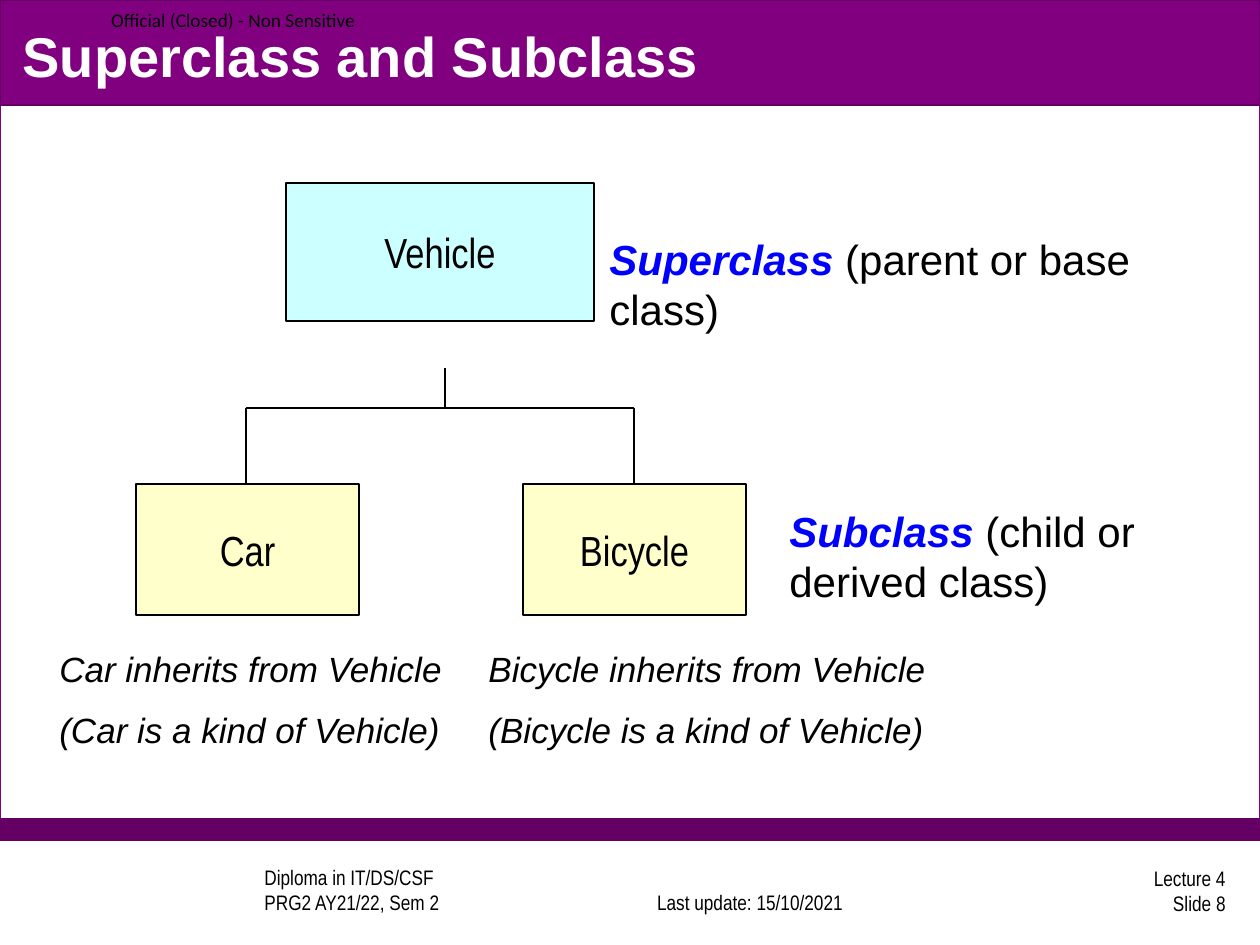
"""Build the Superclass and Subclass slide."""
from lxml import etree
from pptx import Presentation
from pptx import util as u
from pptx.dml.color import RGBColor
from pptx.enum import shapes, text
from pptx.oxml import ns

SCALE = 914400 / 126
BLACK, WHITE, BLUE = "000000", "FFFFFF", "0000FF"
PURPLE, DARK = "800080", "640064"
ALIGN, ANCHOR = text.PP_ALIGN, text.MSO_ANCHOR


def px(*lengths):
    """Turn pixel lengths into EMU."""
    return [u.Emu(round(length * SCALE)) for length in lengths]


def color(code):
    """Return the colour for a hex string."""
    return RGBColor.from_string(code)


def add_span(para, words, size, face, ink=BLACK, bold=False, italic=False):
    """Add one formatted run to a paragraph."""
    span = para.add_run()
    span.text = words
    span.font.size, span.font.name = u.Pt(size), face
    span.font.bold, span.font.italic = bold, italic
    span.font.color.rgb = color(ink)


def add_rect(page, at, fill, line, width=0.75):
    """Add a filled and outlined rectangle."""
    box = page.shapes.add_shape(shapes.MSO_SHAPE.RECTANGLE, *px(*at))
    box.shadow.inherit = False
    box.fill.solid()
    box.fill.fore_color.rgb = color(fill)
    box.line.color.rgb = color(line)
    box.line.width = u.Pt(width)
    return box


def add_class(page, name, at, fill, width):
    """Add a class box with its name in the middle."""
    frame = add_rect(page, at, fill, BLACK, width).text_frame
    frame.vertical_anchor = ANCHOR.MIDDLE
    para = frame.paragraphs[0]
    para.alignment = ALIGN.CENTER
    add_span(para, name, 24, "Arial Narrow")


def add_line(page, start, end, width=0.75):
    """Add a straight black line."""
    line = page.shapes.add_connector(
        shapes.MSO_CONNECTOR.STRAIGHT, *px(*start, *end))
    line.line.color.rgb = color(BLACK)
    line.line.width = u.Pt(width)
    etree.SubElement(line._element.spPr, ns.qn("a:effectLst"))


def add_frame(page, at, anchor=ANCHOR.TOP, wrap=True):
    """Add a text box and return its frame."""
    frame = page.shapes.add_textbox(*px(*at)).text_frame
    frame.word_wrap = wrap
    frame.vertical_anchor = anchor
    return frame


def add_footer(page, lines, at, align, anchor):
    """Add a footer whose lines share one paragraph."""
    para = add_frame(page, at, anchor).paragraphs[0]
    para.alignment = align
    for index, words in enumerate(lines):
        if index:
            para.add_line_break()
        add_span(para, words, 12, "Arial Narrow")


def add_term(page, term, meaning, at, wrap):
    """Add a highlighted term followed by its meaning."""
    para = add_frame(page, at, wrap=wrap).paragraphs[0]
    add_span(para, term + " ", 24, "Arial", BLUE, True, True)
    add_span(para, meaning, 24, "Arial")


def add_relation(page, child, at):
    """Add the two statements on how a child relates to Vehicle."""
    frame = add_frame(page, at)
    add_span(frame.paragraphs[0], f"{child} inherits from Vehicle",
             20, "Arial", italic=True)
    para = frame.add_paragraph()
    para.space_before = u.Pt(11)
    add_span(para, f"({child} is a kind of Vehicle)", 20, "Arial", italic=True)


def add_background(page):
    """Add the bands, the marking and the footers."""
    add_rect(page, (0, 0, 1260, 840), WHITE, PURPLE)
    add_rect(page, (0, 819, 1260, 21), DARK, DARK)
    add_rect(page, (0, 0, 1260, 105), PURPLE, DARK)
    add_footer(page, ["Diploma in IT/DS/CSF", "PRG2 AY21/22, Sem 2"],
               (252, 868, 336, 53), ALIGN.LEFT, ANCHOR.BOTTOM)
    add_footer(page, ["Last update: 15/10/2021"],
               (619, 868, 262, 53), ALIGN.CENTER, ANCHOR.BOTTOM)
    add_footer(page, ["Lecture 4", "Slide 8"],
               (976, 864, 262, 53), ALIGN.RIGHT, ANCHOR.MIDDLE)
    frame = add_frame(page, (111, 0, 268, 39), ANCHOR.MIDDLE)
    frame.margin_left = frame.margin_right = 0
    frame.margin_top = frame.margin_bottom = 0
    add_span(frame.paragraphs[0], "Official (Closed) - Non Sensitive",
             11, "Calibri")


def add_title(page, words):
    """Place the title placeholder in front of the bands."""
    title = page.shapes.title
    title.left, title.top, title.width, title.height = px(10, 16, 1239, 78)
    page.shapes._spTree.append(title._element)
    frame = title.text_frame
    frame.vertical_anchor = ANCHOR.MIDDLE
    para = frame.paragraphs[0]
    para.alignment = ALIGN.LEFT
    add_span(para, words, 32, "Arial", WHITE, bold=True)


def add_tree(page):
    """Add the class boxes and the lines that join them."""
    add_class(page, "Vehicle", (286, 183, 308, 138), "CCFFFF", 1.25)
    for name, left in (("Car", 136), ("Bicycle", 523)):
        add_class(page, name, (left, 484, 223, 131), "FFFFCC", 1.5)
    add_line(page, (445, 408), (445, 368), 1)
    add_line(page, (246, 408), (634, 408))
    for left in (246, 634):
        add_line(page, (left, 408), (left, 485))


def main():
    """Build and save the deck."""
    deck = Presentation()
    deck.slide_width, deck.slide_height = px(1260, 945)
    page = deck.slides.add_slide(deck.slide_layouts[5])
    add_background(page)
    add_title(page, "Superclass and Subclass")
    add_term(page, "Superclass", "(parent or base class)",
             (597, 227, 663, 63), False)
    add_term(page, "Subclass", "(child or derived class)",
             (777, 499, 483, 115), True)
    add_tree(page)
    add_relation(page, "Car", (47, 641, 416, 118))
    add_relation(page, "Bicycle", (476, 641, 483, 118))
    deck.save("out.pptx")


if __name__ == "__main__":
    main()
